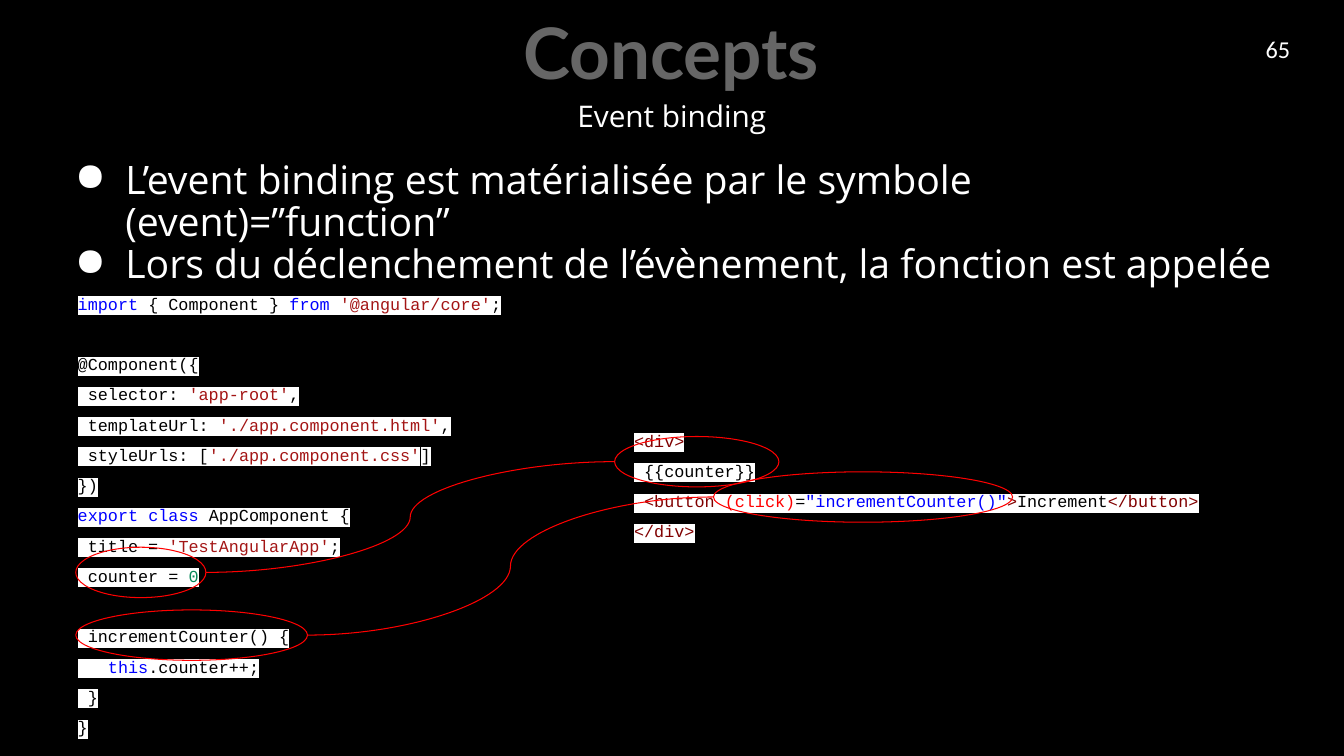
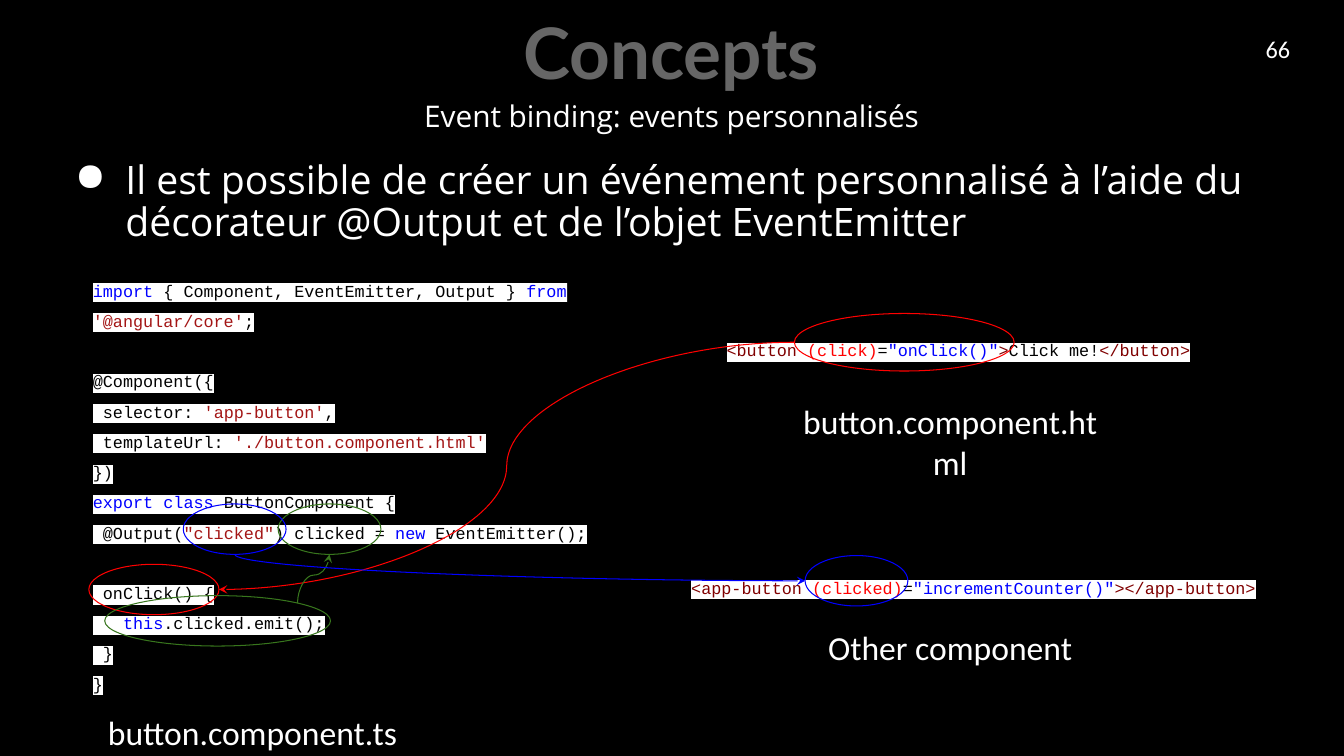
from dataclasses import dataclass
from enum import Enum
from functools import partial
from typing import NamedTuple

from lxml import etree
from pptx import Presentation
from pptx.dml.color import RGBColor
from pptx.enum.shapes import MSO_CONNECTOR, MSO_SHAPE
from pptx.enum.text import MSO_ANCHOR, PP_ALIGN
from pptx.oxml.ns import qn
from pptx.util import Cm, Pt

CURVE = MSO_CONNECTOR.CURVE
ELLIPSE = MSO_SHAPE.OVAL
LEFT, CENTER = PP_ALIGN.LEFT, PP_ALIGN.CENTER
TOP, MIDDLE = MSO_ANCHOR.TOP, MSO_ANCHOR.MIDDLE


class Style(NamedTuple):
    font: str
    size: float
    color: str
    bold: bool = False
    highlight: str = ""


@dataclass(frozen=True)
class Theme:
    background: str = "000000"
    red: str = "FF0000"
    green: str = "38761D"
    blue: str = "0000FF"
    maroon: str = "800000"
    brick: str = "A31515"
    teal: str = "09885A"
    title: Style = Style("Lato", 50.7, "666666", bold=True)
    subtitle: Style = Style("Open Sans", 21.3, "FFFFFF")
    body: Style = Style("Open Sans", 28, "FFFFFF")
    number: Style = Style("Calibri", 17.3, "FFFFFF")
    caption: Style = Style("Calibri", 24, "FFFFFF")
    code: Style = Style("Courier New", 12, "000000", highlight="FFFFFF")
    code_spacing: float = 1.5
    code_line: float = 21.6
    text_spacing: float = 0.9
    line_width: float = 0.75


THEME = Theme()


class Box(NamedTuple):
    """Left, top, width and height in centimetres."""
    left: float
    top: float
    width: float
    height: float


class Token(NamedTuple):
    text: str
    color: str = THEME.code.color


class Side(Enum):
    """Place on an ellipse, as fractions of its width and height."""
    LEFT = (0, 0.5)
    RIGHT = (1, 0.5)
    BOTTOM = (0.5, 1)
    UPPER_RIGHT = (0.854, 0.146)


class Link(NamedTuple):
    start: Box
    start_side: Side
    end: Box
    end_side: Side
    color: str = THEME.red
    arrow: bool = True
    preset: str = "curvedConnector3"
    bend: int = 50000


keyword = partial(Token, color=THEME.blue)
quoted = partial(Token, color=THEME.brick)
tag = partial(Token, color=THEME.maroon)
event = partial(Token, color=THEME.red)
handler = partial(Token, color=THEME.blue)
number = partial(Token, color=THEME.teal)
plain = Token

TITLE_BOX = Box(1.14, 0.13, 31.55, 2.13)
SUBTITLE_BOX = Box(8.33, 2.24, 17.2, 0.91)
BODY_BOX = Box(1.14, 3.71, 31.55, 2.79)
NUMBER_BOX = Box(31.19, 0.51, 2.03, 1.45)


def add_frame(slide, box: Box, inset: float = 0.33, anchor=TOP):
    frame = slide.shapes.add_textbox(*map(Cm, box)).text_frame
    frame.word_wrap = True
    frame.vertical_anchor = anchor
    frame.margin_left = frame.margin_right = Cm(inset)
    frame.margin_top = frame.margin_bottom = Cm(inset)
    return frame


def next_paragraph(frame, index: int):
    return frame.add_paragraph() if index else frame.paragraphs[0]


def add_run(paragraph, text: str, style: Style) -> None:
    run = paragraph.add_run()
    run.text = text
    font = run.font
    font.name, font.size, font.bold = style.font, Pt(style.size), style.bold
    font.color.rgb = RGBColor.from_string(style.color)
    if style.highlight:
        highlight = etree.Element(qn("a:highlight"))
        etree.SubElement(highlight, qn("a:srgbClr"), val=style.highlight)
        run._r.rPr.find(qn("a:solidFill")).addnext(highlight)


def add_label(slide, box: Box, text: str, style: Style, spacing: float = 1.0,
              inset: float = 0.33, anchor=TOP) -> None:
    paragraph = add_frame(slide, box, inset, anchor).paragraphs[0]
    paragraph.alignment = CENTER
    paragraph.line_spacing = spacing
    add_run(paragraph, text, style)


def add_bullets(slide, bullets: list[str]) -> None:
    frame = add_frame(slide, BODY_BOX)
    for index, text in enumerate(bullets):
        paragraph = next_paragraph(frame, index)
        paragraph.line_spacing = THEME.text_spacing
        properties = paragraph._p.get_or_add_pPr()
        properties.set("marL", str(Cm(1.69)))
        properties.set("indent", str(Cm(-1.27)))
        etree.SubElement(properties, qn("a:buChar"), char="●")
        add_run(paragraph, text, THEME.body)


def add_code(slide, box: Box, lines: list[list[Token]]) -> None:
    """Draw coloured code; an empty line becomes space before the next one."""
    frame = add_frame(slide, box)
    gap = 0.0
    for index, line in enumerate(lines):
        if not line:
            gap = THEME.code_line
            continue
        paragraph = next_paragraph(frame, index)
        paragraph.alignment = LEFT
        paragraph.line_spacing = THEME.code_spacing
        paragraph.space_before = Pt(gap)
        gap = 0.0
        for token in line:
            add_run(paragraph, token.text, THEME.code._replace(color=token.color))


def set_line(shape, color: str) -> None:
    shape.line.color.rgb = RGBColor.from_string(color)
    shape.line.width = Pt(THEME.line_width)


def add_ellipse(slide, box: Box, color: str = THEME.red) -> None:
    shape = slide.shapes.add_shape(ELLIPSE, *map(Cm, box))
    shape.shadow.inherit = False
    shape.fill.background()
    set_line(shape, color)


def place_on(box: Box, side: Side) -> tuple[float, float]:
    across, down = side.value
    return box.left + across * box.width, box.top + down * box.height


def add_link(slide, link: Link) -> None:
    """Join two ellipses; a link leaving vertically is turned by 270 degrees."""
    start_x, start_y = place_on(link.start, link.start_side)
    end_x, end_y = place_on(link.end, link.end_side)
    vertical = link.start_side in (Side.BOTTOM, Side.UPPER_RIGHT)
    if vertical:
        middle_x, middle_y = (start_x + end_x) / 2, (start_y + end_y) / 2
        half_x, half_y = (end_x - start_x) / 2, (end_y - start_y) / 2
        start_x, start_y = middle_x + half_y, middle_y - half_x
        end_x, end_y = middle_x - half_y, middle_y + half_x
    connector = slide.shapes.add_connector(
        CURVE, Cm(start_x), Cm(start_y), Cm(end_x), Cm(end_y))
    set_line(connector, link.color)
    properties = connector._element.spPr
    if vertical:
        properties.find(qn("a:xfrm")).set("rot", str(270 * 60000))
    geometry = properties.find(qn("a:prstGeom"))
    geometry.set("prst", link.preset)
    if link.bend != 50000:
        guides = geometry.find(qn("a:avLst"))
        etree.SubElement(guides, qn("a:gd"), name="adj1", fmla=f"val {link.bend}")
    if link.arrow:
        outline = properties.find(qn("a:ln"))
        etree.SubElement(outline, qn("a:tailEnd"), type="stealth")
    etree.SubElement(properties, qn("a:effectLst"))


def add_concept_slide(presentation, page: str, subtitle: str, bullets: list[str]):
    slide = presentation.slides.add_slide(presentation.slide_layouts[6])
    add_label(slide, TITLE_BOX, "Concepts", THEME.title, THEME.text_spacing)
    add_label(slide, SUBTITLE_BOX, subtitle, THEME.subtitle, THEME.text_spacing)
    add_label(slide, NUMBER_BOX, page, THEME.number, inset=0.25, anchor=MIDDLE)
    add_bullets(slide, bullets)
    return slide


def build_event_binding(presentation) -> None:
    slide = add_concept_slide(presentation, "65", "Event binding", [
        "L’event binding est matérialisée par le symbole (event)=”function”",
        "Lors du déclenchement de l’évènement, la fonction est appelée"])
    add_code(slide, Box(15.65, 10.26, 16.26, 3.53), [
        [tag("<div>")],
        [plain(" {{counter}}")],
        [plain(" "), tag("<button"), plain(" "), event("(click)"), plain("="),
         handler('"incrementCounter()"'), tag(">"), plain("Increment"), tag("</button>")],
        [tag("</div>")]])
    add_code(slide, Box(1.63, 6.81, 12.19, 11.1), [
        [keyword("import"), plain(" { Component } "), keyword("from"), plain(" "),
         quoted("'@angular/core'"), plain(";")],
        [],
        [plain("@Component({")],
        [plain(" selector: "), quoted("'app-root'"), plain(",")],
        [plain(" templateUrl: "), quoted("'./app.component.html'"), plain(",")],
        [plain(" styleUrls: ["), quoted("'./app.component.css'"), plain("]")],
        [plain("})")],
        [keyword("export"), plain(" "), keyword("class"), plain(" AppComponent {")],
        [plain(" title = "), quoted("'TestAngularApp'"), plain(";")],
        [plain(" counter = "), number("0")],
        [],
        [plain(" incrementCounter() {")],
        [plain("   "), keyword("this"), plain(".counter++;")],
        [plain(" }")],
        [plain("}")]])
    counter, method = Box(1.91, 13.79, 3.28, 1.27), Box(1.91, 15.37, 5.84, 1.27)
    display, click = Box(15.49, 11, 4.14, 1.27), Box(17.98, 11.89, 7.54, 1.27)
    for source, target in ((counter, display), (method, click)):
        add_ellipse(slide, source)
        add_ellipse(slide, target)
        add_link(slide, Link(source, Side.RIGHT, target, Side.LEFT, arrow=False))


def build_custom_events(presentation) -> None:
    slide = add_concept_slide(presentation, "66", "Event binding: events personnalisés", [
        "Il est possible de créer un événement personnalisé à l’aide du "
        "décorateur @Output et de l’objet EventEmitter"])
    add_code(slide, Box(17.98, 7.98, 12.7, 1.45), [
        [tag("<button"), plain(" "), event("(click)"), plain("="),
         handler('"onClick()"'), tag(">"), plain("Click me!"), tag("</button>")]])
    add_code(slide, Box(2.01, 6.48, 14.73, 11.1), [
        [keyword("import"), plain(" { Component, EventEmitter, Output } "),
         keyword("from"), plain(" "), quoted("'@angular/core'"), plain(";")],
        [],
        [plain("@Component({")],
        [plain(" selector: "), quoted("'app-button'"), plain(",")],
        [plain(" templateUrl: "), quoted("'./button.component.html'")],
        [plain("})")],
        [keyword("export"), plain(" "), keyword("class"), plain(" ButtonComponent {")],
        [plain(" @Output("), quoted('"clicked"'), plain(") clicked = "),
         keyword("new"), plain(" EventEmitter();")],
        [],
        [plain(" onClick() {")],
        [plain("   "), keyword("this"), plain(".clicked.emit();")],
        [plain(" }")],
        [plain("}")]])
    add_code(slide, Box(17.09, 13.97, 16.41, 1.32), [
        [tag("<app-button"), plain(" "), event("(clicked)"), plain("="),
         handler('"incrementCounter()"'), tag("></app-button>")]])
    for left, top, text in ((2.11, 17.6, "button.component.ts"),
                            (19.69, 9.78, "button.component.html"),
                            (19.69, 15.47, "Other component")):
        add_label(slide, Box(left, top, 8.51, 1.19), text, THEME.caption)
    click, on_click = Box(20.02, 7.9, 5.54, 1.45), Box(2.24, 14.22, 3.28, 1.27)
    emit, emitter = Box(2.64, 15.01, 5.69, 1.27), Box(7.01, 12.7, 2.59, 1.27)
    output, listener = Box(4.62, 12.7, 2.59, 1.27), Box(20.29, 14, 2.59, 1.27)
    for link in (
            Link(click, Side.LEFT, on_click, Side.RIGHT),
            Link(emit, Side.UPPER_RIGHT, emitter, Side.BOTTOM, THEME.green, bend=57500),
            Link(output, Side.BOTTOM, listener, Side.LEFT, THEME.blue,
                 preset="curvedConnector2")):
        add_ellipse(slide, link.start, link.color)
        add_ellipse(slide, link.end, link.color)
        add_link(slide, link)


def main() -> None:
    presentation = Presentation()
    presentation.slide_width, presentation.slide_height = Cm(33.87), Cm(19.05)
    background = presentation.slide_master.background.fill
    background.solid()
    background.fore_color.rgb = RGBColor.from_string(THEME.background)
    build_event_binding(presentation)
    build_custom_events(presentation)
    presentation.save("out.pptx")


if __name__ == "__main__":
    main()
